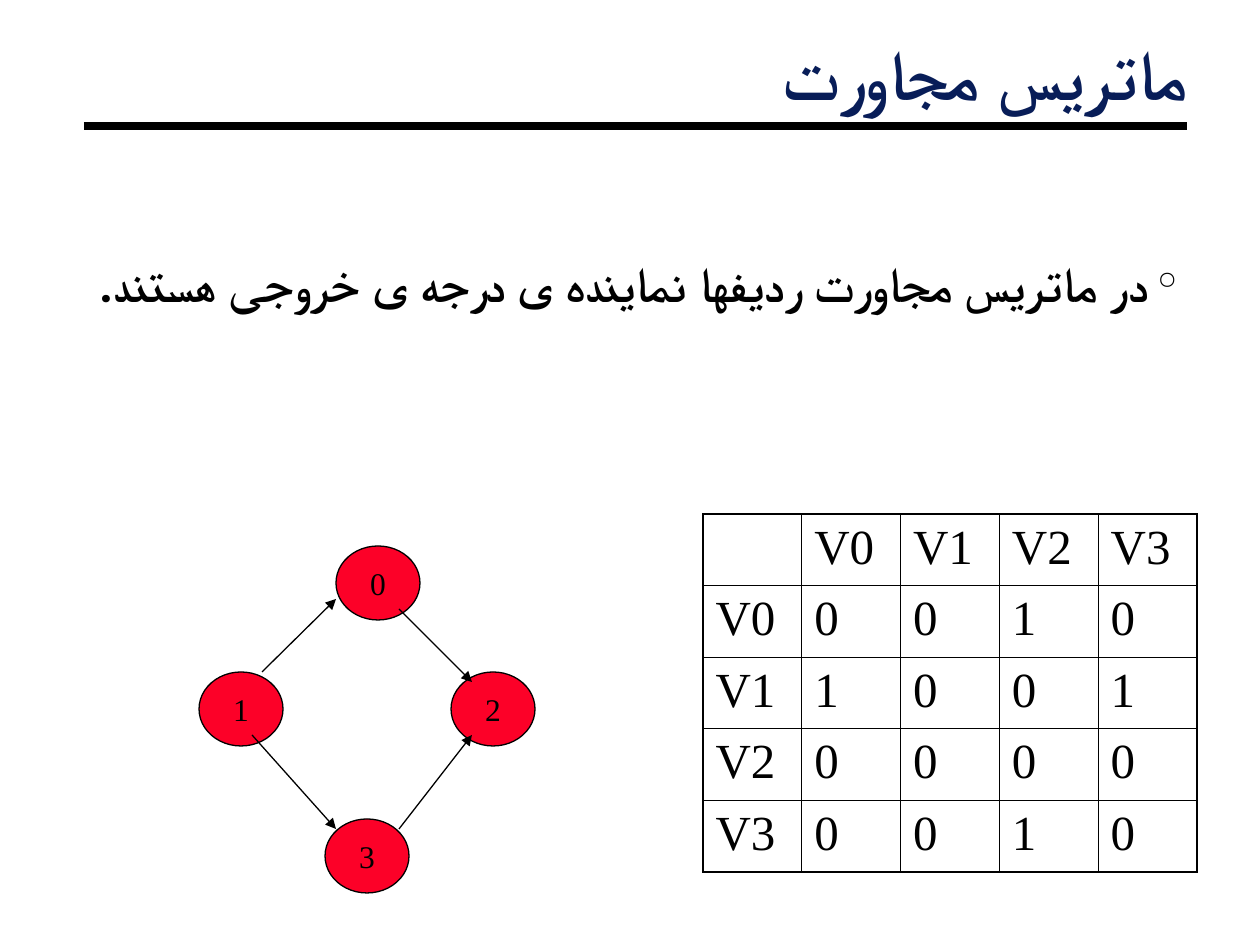
from pptx import Presentation
from pptx.dml.color import RGBColor
from pptx.enum.shapes import MSO_CONNECTOR, MSO_SHAPE
from pptx.enum.text import MSO_ANCHOR, MSO_AUTO_SIZE, PP_ALIGN
from pptx.oxml.ns import qn
from pptx.util import Pt
from lxml.etree import SubElement, Element

SCALE = 914400 / 126
BLACK = RGBColor(0x00, 0x00, 0x00)
NAVY = RGBColor(0x08, 0x1D, 0x58)
RED = RGBColor(0xFC, 0x01, 0x28)
SERIF = "Times New Roman"

MATRIX = [
    ["", "V0", "V1", "V2", "V3"],
    ["V0", "0", "0", "1", "0"],
    ["V1", "1", "0", "0", "1"],
    ["V2", "0", "0", "0", "0"],
    ["V3", "0", "0", "1", "0"],
]
NODES = [("0", 336, 546), ("1", 199, 672), ("2", 451, 672), ("3", 325, 819)]
EDGES = [
    (252, 735, 336, 829),
    (262, 672, 336, 599),
    (399, 609, 472, 682),
    (399, 829, 472, 735),
]


def px(n):
    return int(n * SCALE)


class Deck:
    def __init__(self):
        self.prs = Presentation()
        self.prs.slide_width, self.prs.slide_height = px(1260), px(945)
        self.slide = self.prs.slides.add_slide(self.prs.slide_layouts[5])
        self.shapes = self.slide.shapes

    def style(self, para, size, face, color=BLACK, bold=False):
        for run in para.runs:
            font = run.font
            font.size, font.name, font.bold = Pt(size), face, bold
            font.color.rgb = color
            SubElement(run._r.get_or_add_rPr(), qn("a:cs"), typeface=face)

    def right(self, frame, text, gap):
        """Fill a frame with one right-to-left paragraph and return it."""
        frame.word_wrap = True
        frame.vertical_anchor = MSO_ANCHOR.TOP
        frame.margin_left = frame.margin_right = px(9)
        frame.margin_top = frame.margin_bottom = px(4)
        frame.text = text
        para = frame.paragraphs[0]
        para.alignment = PP_ALIGN.RIGHT
        para.line_spacing = gap
        para.space_before = Pt(0)
        para._p.get_or_add_pPr().set("rtl", "1")
        return para

    def title(self, text, x, y, w, h):
        box = self.shapes.title
        box.left, box.top, box.width, box.height = map(px, (x, y, w, h))
        para = self.right(box.text_frame, text, 0.87)
        box.text_frame.auto_size = MSO_AUTO_SIZE.SHAPE_TO_FIT_TEXT
        self.style(para, 40, "Lato", NAVY, True)

    def bullet(self, text, x, y, w, h):
        box = self.shapes.add_textbox(*map(px, (x, y, w, h)))
        para = self.right(box.text_frame, text, 1.5)
        props = para._p.get_or_add_pPr()
        props.set("marL", str(px(28)))
        props.set("indent", str(px(-28)))
        color = SubElement(props, qn("a:buClr"))
        SubElement(color, qn("a:srgbClr"), val=str(BLACK))
        SubElement(props, qn("a:buChar"), char="°")
        self.style(para, 28, "Roboto", bold=True)

    def line(self, x1, y1, x2, y2, width=0.75, arrow=False):
        line = self.shapes.add_connector(
            MSO_CONNECTOR.STRAIGHT, *map(px, (x1, y1, x2, y2)))
        line.line.color.rgb = BLACK
        line.line.width = Pt(width)
        if arrow:
            SubElement(line.line._get_or_add_ln(), qn("a:tailEnd"), type="triangle")
        SubElement(line._element.spPr, qn("a:effectLst"))

    def node(self, text, x, y):
        oval = self.shapes.add_shape(MSO_SHAPE.OVAL, *map(px, (x, y, 84, 74)))
        oval.shadow.inherit = False
        oval.fill.solid()
        oval.fill.fore_color.rgb = RED
        oval.line.color.rgb = BLACK
        oval.line.width = Pt(0.75)
        frame = oval.text_frame
        frame.word_wrap = False
        frame.vertical_anchor = MSO_ANCHOR.MIDDLE
        frame.text = text
        frame.paragraphs[0].alignment = PP_ALIGN.CENTER
        self.style(frame.paragraphs[0], 18, SERIF)

    def border(self, cell, outer):
        """Draw the four sides; outer tells which lie on the table's edge."""
        props = cell._tc.get_or_add_tcPr()
        for i, (side, edge) in enumerate(zip("LRTB", outer)):
            width = Pt(1.08 if edge else 0.45)
            line = Element(qn(f"a:ln{side}"), w=str(width))
            fill = SubElement(line, qn("a:solidFill"))
            SubElement(fill, qn("a:srgbClr"), val=str(BLACK))
            props.insert(i, line)

    def table(self, rows, x, y, w, h):
        size = len(rows)
        grid = self.shapes.add_table(size, size, *map(px, (x, y, w, h))).table
        grid.first_row = grid.horz_banding = False
        last = size - 1
        for r, row in enumerate(rows):
            for c, text in enumerate(row):
                cell = grid.cell(r, c)
                cell.fill.background()
                self.border(cell, (c == 0, c == last, r == 0, r == last))
                cell.text = text
                self.style(cell.text_frame.paragraphs[0], 28, SERIF)


def main():
    deck = Deck()
    deck.line(84, 126, 1187, 126, width=4.5)
    deck.title("ماتریس مجاورت", 63, 38, 1134, 83)
    deck.bullet("در ماتریس مجاورت ردیفها نماینده ی درجه ی خروجی هستند.",
                63, 220, 1124, 184)
    deck.table(MATRIX, 703, 514, 494, 358)
    for node in NODES:
        deck.node(*node)
    for edge in EDGES:
        deck.line(*edge, arrow=True)
    deck.prs.save("out.pptx")


if __name__ == "__main__":
    main()
